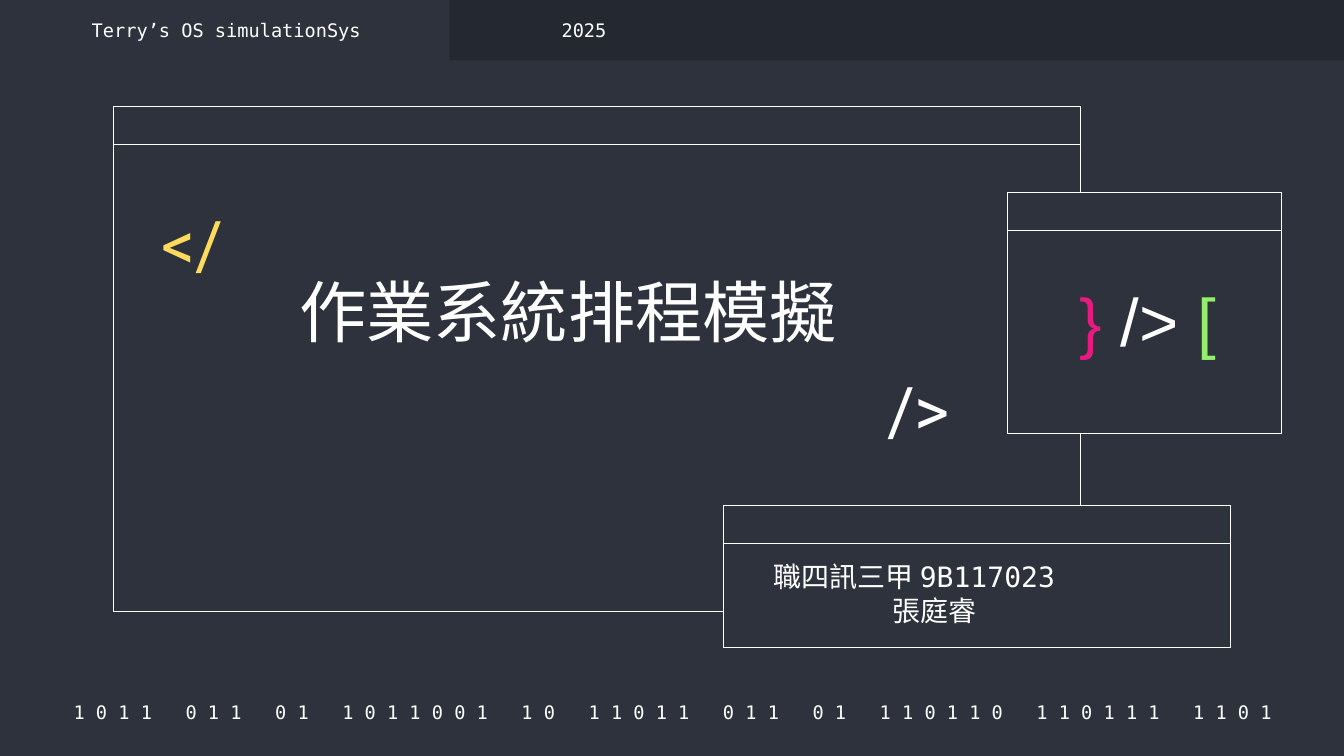
from dataclasses import dataclass

from pptx import Presentation
from pptx.dml.color import RGBColor
from pptx.enum.shapes import MSO_SHAPE
from pptx.enum.text import MSO_ANCHOR, PP_ALIGN
from pptx.oxml.ns import qn
from pptx.util import Inches, Pt


@dataclass(frozen=True)
class Theme:
    background: str = "2D323C"
    tab: str = "242830"
    white: str = "FFFFFF"
    yellow: str = "FFDB5D"
    pink: str = "E81981"
    green: str = "94EE6B"
    mono: str = "DejaVu Sans Mono"
    cjk: str = "Noto Sans CJK SC"
    symbol: str = "Roboto"
    bracket: str = "Arial"
    small: float = 13.3
    body: float = 20
    display: float = 48
    outline: float = 0.75
    inset: float = 0.13
    title_bar: float = 5


class Deck:
    """Places elements; boxes are left, top, width, height in percent of the slide."""

    def __init__(self, theme):
        self.theme = theme
        self.prs = Presentation()
        self.prs.slide_width, self.prs.slide_height = Inches(13.33), Inches(7.5)
        self.s = self.prs.slides.add_slide(self.prs.slide_layouts[6])
        fill = self.s.background.fill
        fill.solid()
        fill.fore_color.rgb = RGBColor.from_string(theme.background)

    def place(self, box):
        sides = (self.prs.slide_width, self.prs.slide_height) * 2
        return [int(side * share / 100) for side, share in zip(sides, box)]

    def rect(self, box, color, outlined=False, parent=None):
        shapes = (parent or self.s).shapes
        sp = shapes.add_shape(MSO_SHAPE.RECTANGLE, *self.place(box))
        sp.shadow.inherit = False
        sp.fill.solid()
        sp.fill.fore_color.rgb = RGBColor.from_string(color)
        if outlined:
            sp.line.color.rgb = RGBColor.from_string(self.theme.white)
            sp.line.width = Pt(self.theme.outline)
        else:
            sp.line.fill.background()

    def window(self, left, top, width, height):
        """Draws an outlined window with its title bar as one group."""
        group = self.s.shapes.add_group_shape()
        for h in (height, self.theme.title_bar):
            self.rect((left, top, width, h), self.theme.background, True, group)

    def text(self, box, paragraphs, font, size, align=PP_ALIGN.LEFT,
             anchor=MSO_ANCHOR.MIDDLE, leading=None, indents=(), tracking=0):
        """Writes paragraphs, each a list of (text, colour) runs."""
        tf = self.s.shapes.add_textbox(*self.place(box)).text_frame
        tf.word_wrap = True
        tf.vertical_anchor = anchor
        tf.margin_left = tf.margin_right = Inches(self.theme.inset)
        tf.margin_top = tf.margin_bottom = Inches(self.theme.inset)
        for i, runs in enumerate(paragraphs):
            p = tf.add_paragraph() if i else tf.paragraphs[0]
            p.alignment, p.line_spacing = align, leading
            p.font.name, p.font.size = font, Pt(size)
            if i < len(indents):
                p._p.get_or_add_pPr().set("marL", str(Inches(indents[i])))
            for words, color in runs:
                r = p.add_run()
                r.text = words
                r.font.name, r.font.size = font, Pt(size)
                r.font.color.rgb = RGBColor.from_string(color)
                rPr = r._r.get_or_add_rPr()
                east_asian = rPr.makeelement(qn("a:ea"), {"typeface": self.theme.cjk})
                rPr.find(qn("a:latin")).addnext(east_asian)
                if tracking:
                    rPr.set("spc", str(tracking * 100))


def main():
    t = Theme()
    deck = Deck(t)

    binary = "1011 011 01 1011001 10 11011 011 01 110110 110111 1101"
    deck.text((3.75, 92.4, 92.72, 3.47), [[(binary, t.white)]], t.mono, t.small,
              PP_ALIGN.CENTER, tracking=8)
    deck.rect((33.46, 0, 66.54, 8), t.tab)

    for box in ((8.48, 14.13, 71.94, 66.8),
                (53.86, 66.93, 37.73, 18.67),
                (74.94, 25.47, 20.41, 31.87)):
        deck.window(*box)

    for left, top, tag, color in ((11.03, 26.93, "</", t.yellow),
                                  (65.04, 48.8, "/>", t.white)):
        deck.text((left, top, 7.65, 11.73), [[(tag, color)]], t.symbol, t.display,
                  leading=0.9)
    deck.text((78.77, 36.4, 13.28, 14.53),
              [[("}", t.pink), (" /> ", t.white), ("[", t.green)]],
              t.bracket, t.display, PP_ALIGN.CENTER, MSO_ANCHOR.TOP, leading=0.9)

    deck.text((19.58, 25.47, 45.39, 32.67), [[("作業系統排程模擬", t.white)]],
              t.cjk, t.display, PP_ALIGN.CENTER, leading=0.9)
    deck.text((56.56, 73.33, 33.31, 10.27),
              [[("職四訊三甲 9B117023", t.white)], [("張庭睿", t.white)]],
              t.mono, t.body, indents=(0, 1.18))

    for left, width, label in ((5.85, 23.33, "Terry’s OS simulationSys"),
                               (40.81, 21.91, "2025")):
        deck.text((left, 2.27, width, 3.47), [[(label, t.white)]], t.mono, t.small)

    deck.prs.save("out.pptx")


if __name__ == "__main__":
    main()
